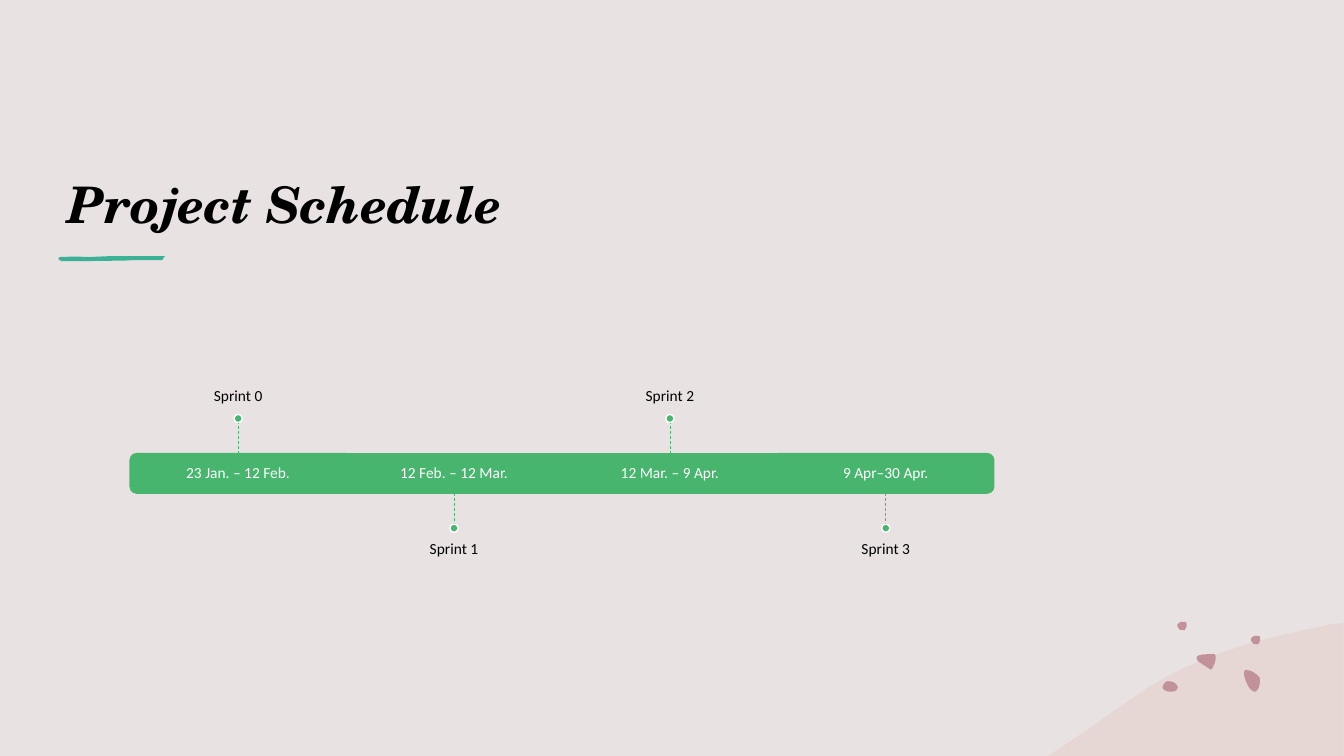
from dataclasses import dataclass

from lxml import etree
from pptx import Presentation
from pptx import util as u
from pptx.dml.color import RGBColor
from pptx.enum import dml, shapes, text
from pptx.oxml.ns import qn

# The page is a grid of 160 columns by 90 rows of square cells
COLUMNS, ROWS = 160, 90
CELL = u.Inches(1) // 12
FINE = 0.12  # cells per step of a hand-drawn outline


@dataclass(frozen=True)
class Theme:
    paper: str = "E8E2E3"
    ink: str = "000000"
    white: str = "FFFFFF"
    green: str = "47B56D"
    teal: str = "3BB195"
    hill: str = "E4BAAD"
    petal: str = "C1929A"
    title_font: str = "TeX Gyre Schola"
    body_font: str = "Calibri"
    title_size: int = 36
    body_size: int = 11


def cells(*lengths):
    return [u.Emu(round(length * CELL)) for length in lengths]


def trace(start, segments, steps=10):
    """Points of an outline: 2 numbers are a line, 6 a cubic curve."""
    points = [start]
    for segment in segments:
        if len(segment) == 2:
            points.append(segment)
            continue
        a, b, c, d = points[-1], segment[:2], segment[2:4], segment[4:]
        for step in range(1, steps + 1):
            t = step / steps
            s = 1 - t
            points.append(tuple(
                s**3 * a[k] + 3 * s * s * t * b[k] + 3 * s * t * t * c[k] + t**3 * d[k]
                for k in (0, 1)))
    return points


class Slide:
    def __init__(self, deck, theme):
        self.theme = theme
        self.page = deck.slides.add_slide(deck.slide_layouts[5])
        self.paint(self.page.background.fill, theme.paper)

    def paint(self, fill, color):
        fill.solid()
        fill.fore_color.rgb = RGBColor.from_string(color)

    def style(self, span, font, size, color):
        span.font.name = font
        span.font.size = u.Pt(size)
        span.font.color.rgb = RGBColor.from_string(color)

    def title(self, words, left, top, width, height):
        box = self.page.shapes.title
        box.left, box.top, box.width, box.height = cells(left, top, width, height)
        frame = box.text_frame
        frame.text = words
        frame.auto_size = text.MSO_AUTO_SIZE.NONE
        frame.vertical_anchor = text.MSO_ANCHOR.BOTTOM
        para = frame.paragraphs[0]
        para.alignment = text.PP_ALIGN.LEFT
        span = para.runs[0]
        self.style(span, self.theme.title_font, self.theme.title_size, self.theme.ink)
        span.font.bold = span.font.italic = True

    def label(self, words, left, top, width, height, color, anchor, pad_top, pad_bottom):
        box = self.page.shapes.add_textbox(*cells(left, top, width, height))
        frame = box.text_frame
        frame.text = words
        frame.word_wrap = True
        frame.vertical_anchor = anchor
        frame.margin_left = frame.margin_right = 0
        frame.margin_top, frame.margin_bottom = cells(pad_top, pad_bottom)
        para = frame.paragraphs[0]
        para.alignment = text.PP_ALIGN.CENTER
        para.line_spacing = 0.9
        self.style(para.runs[0], self.theme.body_font, self.theme.body_size, color)

    def shape(self, kind, left, top, width, height, fill, line, rotation=0):
        box = self.page.shapes.add_shape(kind, *cells(left, top, width, height))
        box.rotation = rotation
        box.shadow.inherit = False
        self.paint(box.fill, fill)
        self.paint(box.line.fill, line)
        box.line.width = u.Pt(1)
        return box

    def outline(self, left, top, start, segments, color, opacity=100):
        points = [cells(x * FINE, y * FINE) for x, y in trace(start, segments)]
        builder = self.page.shapes.build_freeform(*points[0])
        builder.add_line_segments(points[1:], close=True)
        drawing = builder.convert_to_shape(*cells(left, top))
        drawing.shadow.inherit = False
        drawing.line.fill.background()
        self.paint(drawing.fill, color)
        if opacity < 100:
            tint = next(drawing.element.spPr.iter(qn("a:srgbClr")))
            etree.SubElement(tint, qn("a:alpha"), val=str(opacity * 1000))

    def dashed_line(self, x, start, end):
        line = self.page.shapes.add_connector(
            shapes.MSO_CONNECTOR.STRAIGHT, *cells(x, start, x, end))
        self.paint(line.line.fill, self.theme.green)
        line.line.width = u.Pt(0.5)
        line.line.dash_style = dml.MSO_LINE.DASH
        etree.SubElement(line.element.spPr, qn("a:effectLst"))
        return line


# Hand-drawn outlines: start point, then lines and curves, in fine steps
STROKE = ((28, 5), [(66, 4.5), (75, 4), (99, 4), (105, 5, 103, 2, 106, 0), (53, 0),
                    (30, 1), (17, 0.5), (1, 1), (0, 2, -1, 5, 3, 4), (2, 5)])
HILL = ((293, 0), [(285, 1), (281, 1, 277, 2, 273, 3), (207, 16, 136, 35, 80, 77),
                   (61, 90, 43, 103, 24, 116), (0, 132), (293, 132)])
LONG_PETAL = ((4, 0), [(2, -1, 0, 0, 0, 3), (1, 9, 3, 14, 6, 18), (8, 20, 11, 23, 13, 20),
                       (16, 17, 16, 12, 16, 8), (15, 6, 13, 4, 11, 3), (10, 2, 7, 0, 4, 0)])
OVAL_PETAL = ((6, 0), [(4, -1, 1, 1, 0, 4), (-1, 5, -1, 8, 2, 9), (5, 11, 13, 11, 14, 7),
                       (15, 6, 14, 4, 13, 3), (11, 1, 9, 0, 6, 0)])
SMALL_PETAL = ((9, 5), [(9, 5, 10, 1, 8, 0), (6, 0, 5, 0, 3, 0), (2, 1, 0, 2, 0, 3),
                        (0, 5, 1, 6, 2, 7), (2, 7, 2, 8, 4, 8), (5, 8, 7, 9, 8, 7)])
WEDGE_PETAL = ((14, 0), [(8, 0, -3, 0, 1, 6), (1, 7, 2, 7, 3, 8), (6, 10, 9, 12, 12, 14),
                         (13, 15, 14, 15, 15, 15), (15, 15, 16, 14, 16, 13),
                         (18, 10, 19, 7, 19, 3), (19, 2, 19, 1, 18, 0)])
PETALS = [(148.08, 79.8, LONG_PETAL), (138.48, 81.12, OVAL_PETAL), (140.16, 74.04, SMALL_PETAL),
          (148.92, 75.72, SMALL_PETAL), (142.44, 77.88, WEDGE_PETAL)]

# Timeline
PHASES = [("Sprint 0", "23 Jan. – 12 Feb."), ("Sprint 1", "12 Feb. – 12 Mar."),
          ("Sprint 2", "12 Mar. – 9 Apr."), ("Sprint 3", "9 Apr–30 Apr.")]
BAR_LEFT, BAR_TOP, BAR_HEIGHT, PHASE_WIDTH = 15.5, 54, 4.7, 25.7
STEM, DOT = 3.7, 0.96
LABEL_WIDTH, LABEL_HEIGHT, PAD = 42.8, 16.3, 1.1


def draw_phase(slide, index, name, dates):
    theme = slide.theme
    left = BAR_LEFT + index * PHASE_WIDTH
    center = left + PHASE_WIDTH / 2
    above = index % 2 == 0
    is_end = index in (0, len(PHASES) - 1)

    # Bar section: the two ends are upright shapes turned on their side
    if is_end:
        slide.shape(shapes.MSO_SHAPE.ROUND_2_SAME_RECTANGLE, center - BAR_HEIGHT / 2,
                    BAR_TOP + (BAR_HEIGHT - PHASE_WIDTH) / 2, BAR_HEIGHT, PHASE_WIDTH,
                    theme.green, theme.green, 270 if index == 0 else 90)
    else:
        section = slide.shape(shapes.MSO_SHAPE.RECTANGLE, left, BAR_TOP, PHASE_WIDTH,
                              BAR_HEIGHT, theme.green, theme.green)
    slide.label(dates, left, BAR_TOP, PHASE_WIDTH, BAR_HEIGHT, theme.white,
                text.MSO_ANCHOR.MIDDLE, PAD, PAD)

    # Sprint name, stem and dot, above and below in turn
    edge = BAR_TOP if above else BAR_TOP + BAR_HEIGHT
    tip = edge - STEM if above else edge + STEM
    dot_top = tip - DOT if above else tip
    if above:
        slide.label(name, center - LABEL_WIDTH / 2, dot_top - LABEL_HEIGHT, LABEL_WIDTH,
                    LABEL_HEIGHT, theme.ink, text.MSO_ANCHOR.BOTTOM, 0, PAD)
    else:
        slide.label(name, center - LABEL_WIDTH / 2, dot_top + DOT, LABEL_WIDTH,
                    LABEL_HEIGHT, theme.ink, text.MSO_ANCHOR.TOP, PAD, 0)
    stem = slide.dashed_line(center, edge, tip)
    if not is_end:
        stem.begin_connect(section, 0 if above else 2)
    slide.shape(shapes.MSO_SHAPE.OVAL, center - DOT / 2, dot_top, DOT, DOT,
                theme.green, theme.white)


def main():
    deck = Presentation()
    deck.slide_width, deck.slide_height = cells(COLUMNS, ROWS)
    theme = Theme()
    slide = Slide(deck, theme)

    # Title and its brush stroke
    slide.title("Project Schedule", 6.84, 9.6, 143.28, 18.84)
    slide.outline(6.96, 30.48, *STROKE, theme.teal)

    # Corner decoration
    slide.outline(124.8, 74.16, *HILL, theme.hill, opacity=25)
    for left, top, petal in PETALS:
        slide.outline(left, top, *petal, theme.petal)

    for index, (name, dates) in enumerate(PHASES):
        draw_phase(slide, index, name, dates)
    deck.save("out.pptx")


if __name__ == "__main__":
    main()
